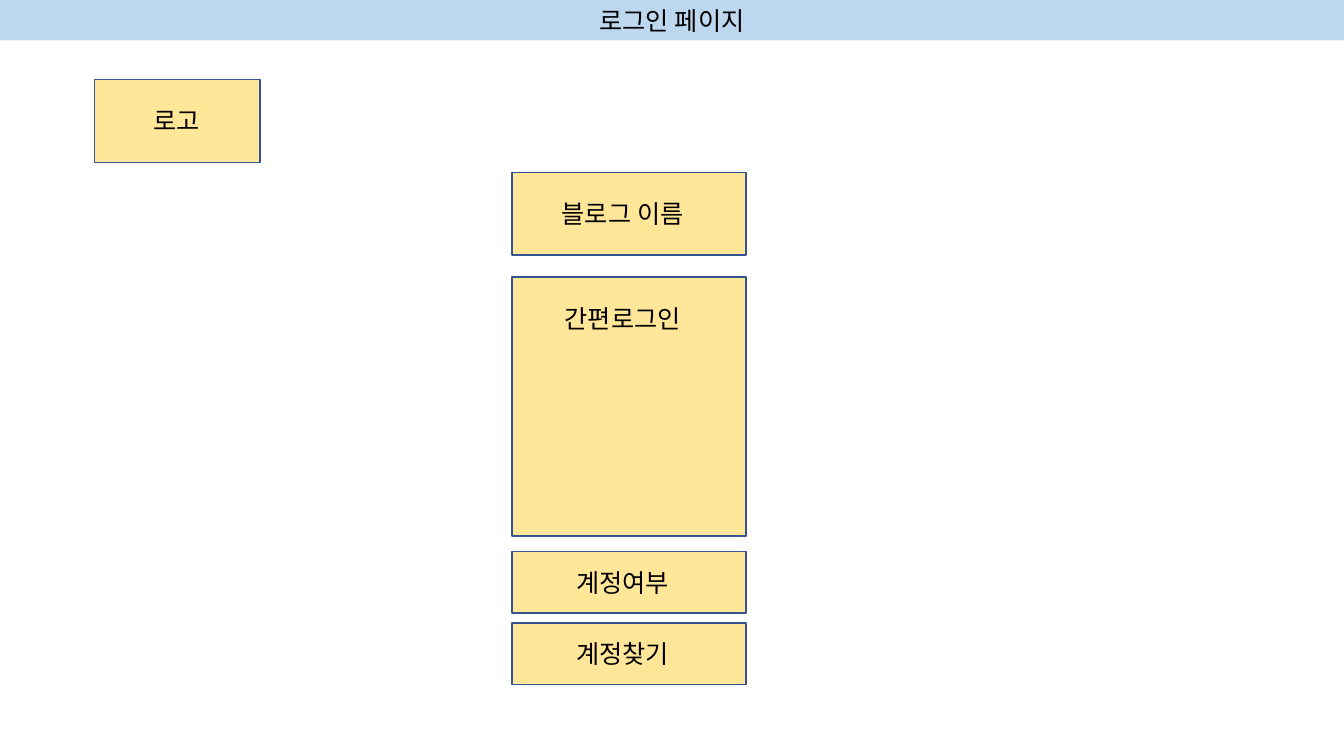
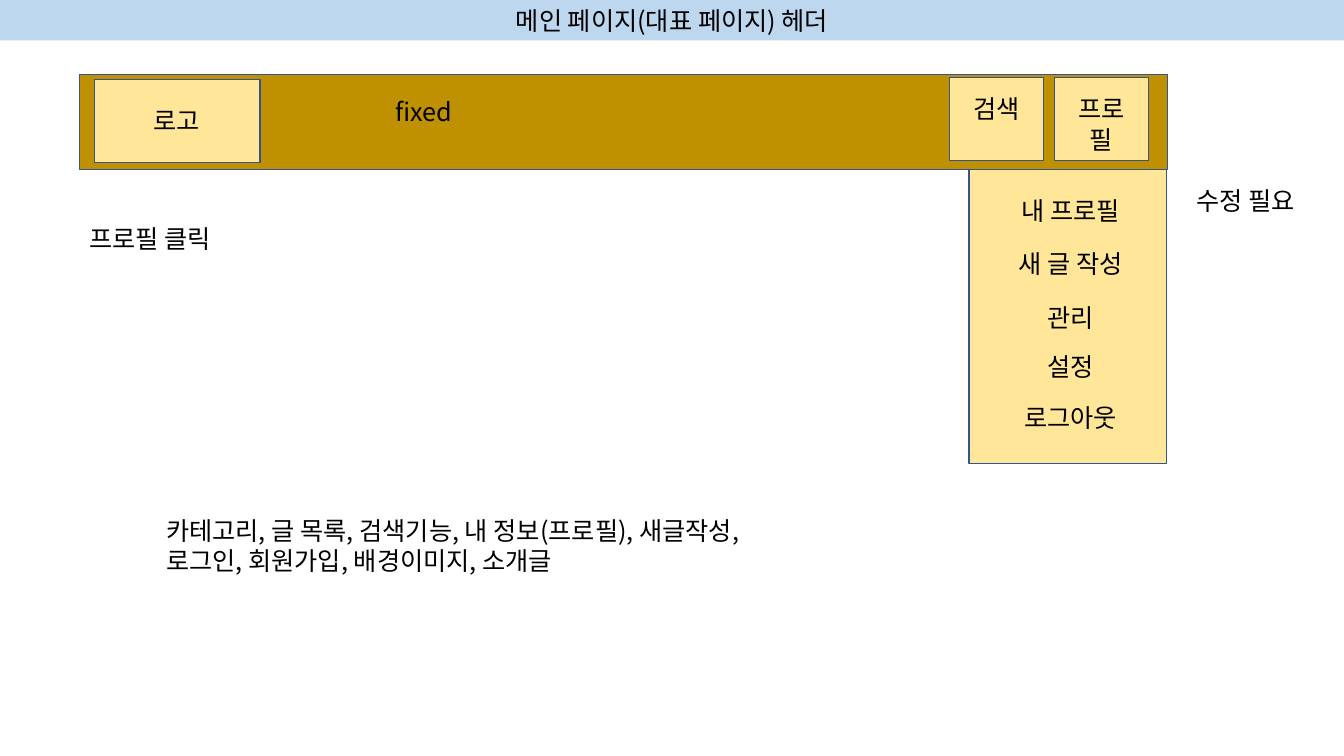
import dataclasses

import pptx
import pptx.dml.color
import pptx.enum.shapes
import pptx.enum.text
import pptx.oxml
import pptx.oxml.ns
import pptx.util

Inches = pptx.util.Inches
Align = pptx.enum.text.PP_ALIGN


@dataclasses.dataclass(frozen=True)
class Theme:
    """Colours, font and type sizes shared by the slides."""
    font: str = "Noto Sans CJK KR"
    size: float = 18
    leading: float = 21.6
    outline: float = 1
    text: str = "000000"
    band: str = "BDD7EE"
    panel: str = "FFE699"
    header: str = "BF9000"
    border: str = "325491"


def rgb(value):
    """Turn a hex string into a colour."""
    return pptx.dml.color.RGBColor.from_string(value)


def write(tf, text, *, theme, align=Align.LEFT):
    """Fill a text frame, one paragraph a line, in the theme's type."""
    tf.word_wrap = True
    tf.auto_size = pptx.enum.text.MSO_AUTO_SIZE.NONE
    tf.vertical_anchor = pptx.enum.text.MSO_ANCHOR.TOP
    for i, line in enumerate(text.split("\n")):
        p = tf.add_paragraph() if i else tf.paragraphs[0]
        p.alignment = align
        p.line_spacing = pptx.util.Pt(theme.leading)
        r = p.add_run()
        r.text = line
        r.font.name = theme.font
        r.font.size = pptx.util.Pt(theme.size)
        r.font.color.rgb = rgb(theme.text)
        ea = pptx.oxml.parse_xml(
            f'<a:ea {pptx.oxml.ns.nsdecls("a")} typeface="{theme.font}"/>')
        r.font._element.find(pptx.oxml.ns.qn("a:latin")).addnext(ea)


class Wireframe:
    """Draws page wireframes on the current slide."""

    def __init__(self, prs, theme):
        """Keep the presentation and its style."""
        self.prs, self.theme, self.s = prs, theme, None

    def page(self, title):
        """Start a slide with its title in the top band."""
        self.s = self.prs.slides.add_slide(self.prs.slide_layouts[5])
        sp = self.s.shapes.title
        sp.left, sp.top = Inches(0), Inches(0)
        sp.width, sp.height = self.prs.slide_width, Inches(0.4)
        sp.fill.solid()
        sp.fill.fore_color.rgb = rgb(self.theme.band)
        write(sp.text_frame, title, theme=self.theme, align=Align.CENTER)

    def box(self, x, y, w, h, fill=None):
        """Add an outlined rectangle."""
        sp = self.s.shapes.add_shape(
            pptx.enum.shapes.MSO_SHAPE.RECTANGLE,
            Inches(x), Inches(y), Inches(w), Inches(h))
        sp.shadow.inherit = False
        sp.fill.solid()
        sp.fill.fore_color.rgb = rgb(fill or self.theme.panel)
        sp.line.color.rgb = rgb(self.theme.border)
        sp.line.width = pptx.util.Pt(self.theme.outline)

    def label(self, text, x, y, w, h=0.4, align=Align.CENTER):
        """Add a text box."""
        sp = self.s.shapes.add_textbox(
            Inches(x), Inches(y), Inches(w), Inches(h))
        write(sp.text_frame, text, theme=self.theme, align=align)

    def note(self, text, x, y, w, h=0.4):
        """Add left-aligned text."""
        self.label(text, x, y, w, h, align=Align.LEFT)

    def logo(self):
        """Add the logo area that both pages share."""
        self.box(0.94, 0.79, 1.64, 0.82)
        self.label("로고", 1.08, 1, 1.35)


def login_page(wf):
    """Draw the login page."""
    wf.page("로그인 페이지")
    wf.logo()
    for text, top, height, text_top in (
            ("블로그 이름", 1.71, 0.82, 1.92),
            ("간편로그인", 2.75, 2.57, 2.96),
            ("계정여부", 5.47, 0.61, 5.58),
            ("계정찾기", 6.18, 0.61, 6.28)):
        wf.box(5.08, top, 2.32, height)
        wf.label(text, 5.22, text_top, 1.91)


def main_page(wf):
    """Draw the main page's header with its open profile menu."""
    wf.page("메인 페이지(대표 페이지) 헤더")
    wf.note("카테고리, 글 목록, 검색기능, 내 정보(프로필), 새글작성,\n"
            "로그인, 회원가입, 배경이미지, 소개글", 1.55, 5.06, 6.94, 0.71)
    wf.box(9.61, 1.68, 1.96, 2.92)
    for text, top in (("내 프로필", 1.89), ("새 글 작성", 2.41), ("관리", 2.95),
                      ("설정", 3.44), ("로그아웃", 3.94)):
        wf.label(text, 9.81, top, 1.62)
    wf.note("프로필 클릭", 0.79, 2.17, 2.48)
    wf.box(0.79, 0.74, 10.79, 0.94, fill=wf.theme.header)
    wf.logo()
    for text, left, height in (("프로필", 10.46, 0.71), ("검색", 9.42, 0.4)):
        wf.box(left, 0.77, 0.93, 0.82)
        wf.label(text, left + 0.08, 0.88, 0.77, height)
    wf.note("fixed", 3.82, 0.91, 3.03)
    wf.note("수정 필요", 11.77, 1.79, 1.48)


def main():
    """Build and save the presentation."""
    prs = pptx.Presentation()
    prs.slide_width, prs.slide_height = Inches(13.33), Inches(7.5)
    wf = Wireframe(prs, Theme())
    login_page(wf)
    main_page(wf)
    prs.save("out.pptx")


main()
